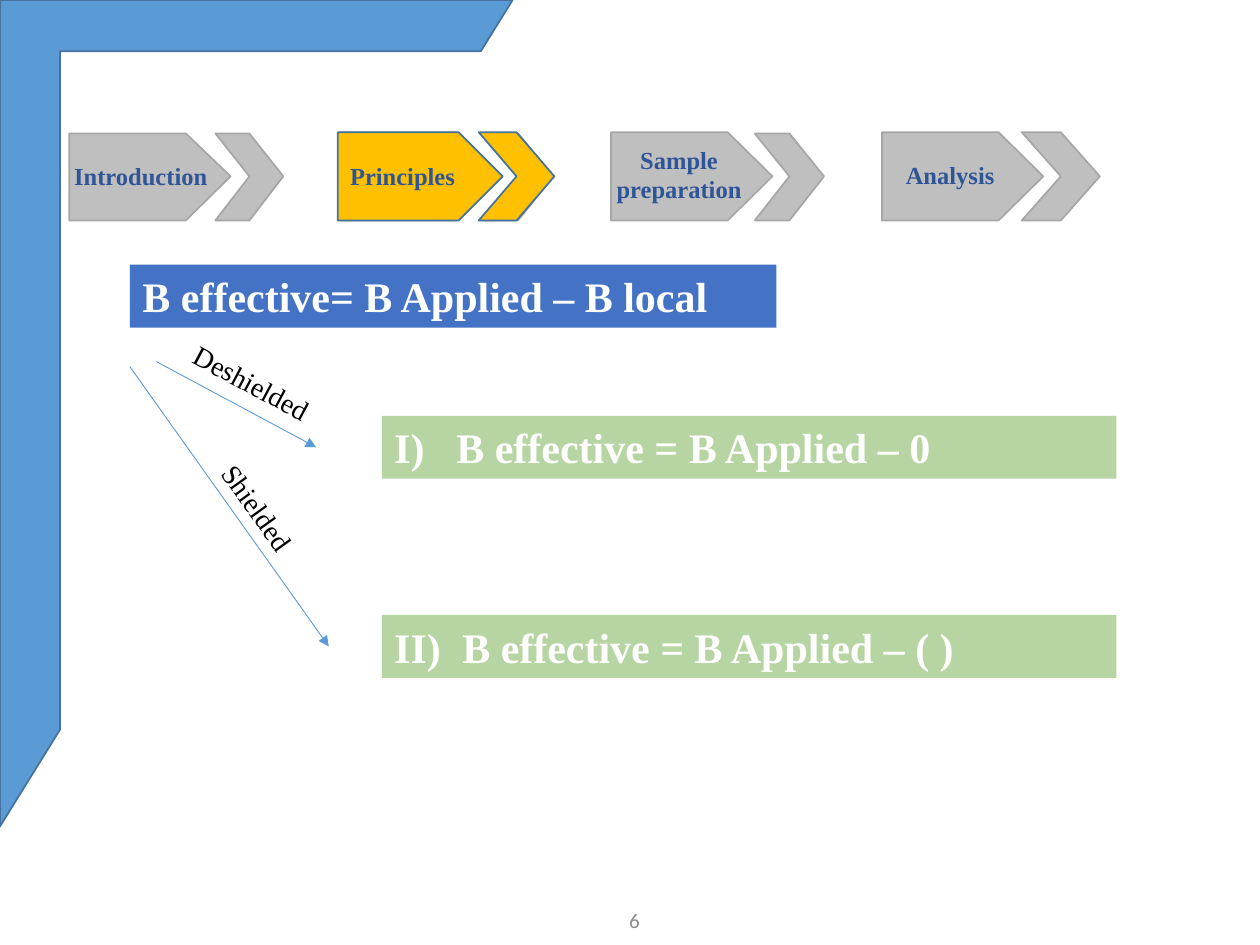
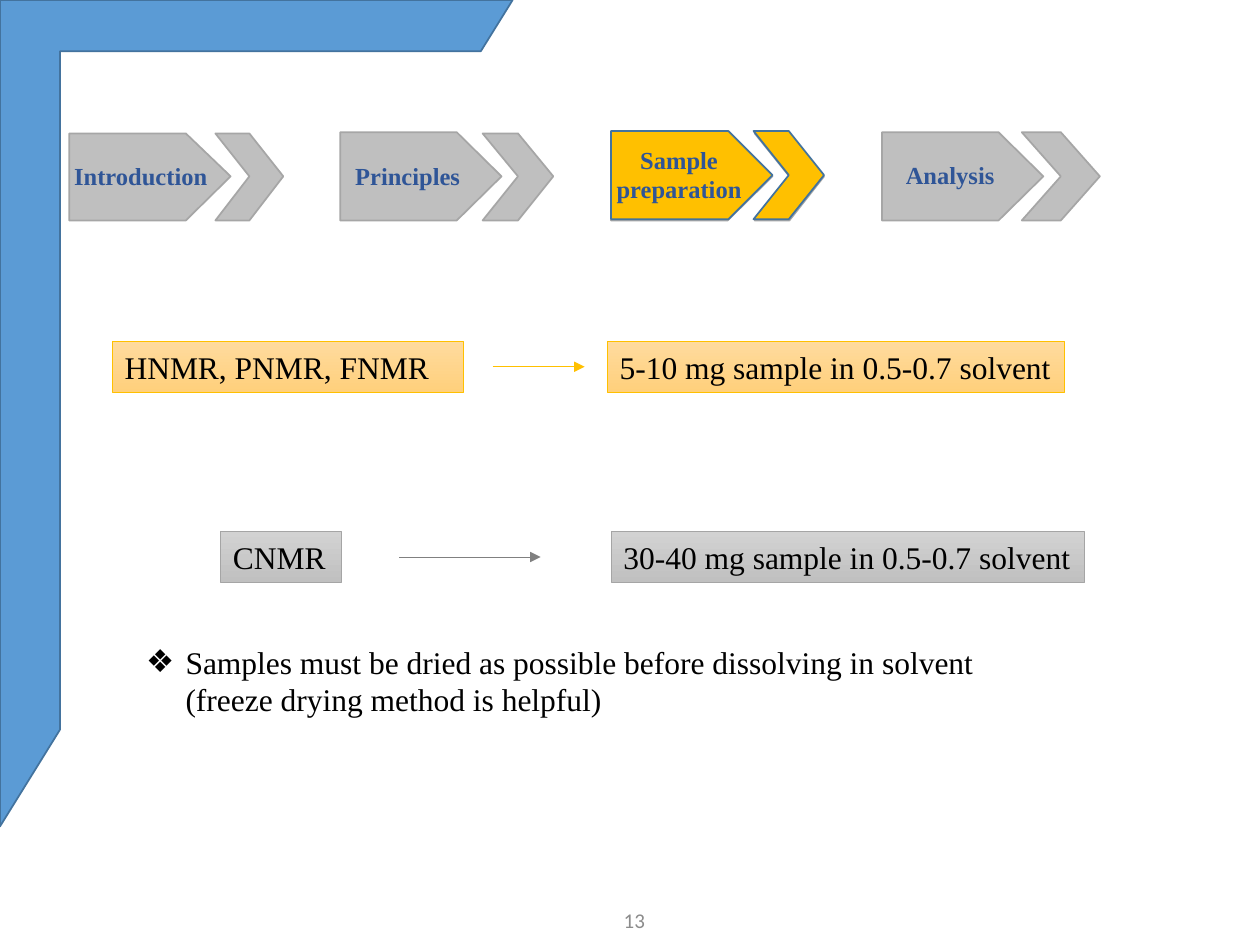
from dataclasses import dataclass

from lxml.etree import SubElement
from pptx import Presentation
from pptx.dml.color import RGBColor
from pptx.enum.shapes import MSO_CONNECTOR, MSO_SHAPE
from pptx.enum.text import MSO_ANCHOR, MSO_AUTO_SIZE, PP_ALIGN
from pptx.oxml.ns import qn
from pptx.util import Pt


@dataclass(frozen=True)
class Theme:
    font: str = "Times New Roman"
    number_font: str = "Calibri"
    blue: str = "5B9BD5"
    outline: str = "43739E"
    banner: str = "4472C4"
    green: str = "70AD47"
    gold: str = "FFC000"
    step: str = "BFBFBF"
    step_line: str = "A6A6A6"
    label: str = "2F5597"
    arrow_gray: str = "808080"
    box_gray: str = "A5A5A5"
    number: str = "8C8C8C"
    white: str = "FFFFFF"
    black: str = "000000"
    gold_fade: tuple = ("FFDB9E", "FFD07C")
    gray_fade: tuple = ("D2D2D2", "C0C0C0")
    formula_size: int = 24
    body_size: int = 18
    note_size: int = 16
    label_size: int = 14
    number_size: int = 12


theme = Theme()


def write(shape, text, size, color, bold=False, align=PP_ALIGN.LEFT,
          font=theme.font, anchor=MSO_ANCHOR.TOP, hanging=0):
    """Put one formatted paragraph in a shape and return the paragraph."""
    frame = shape.text_frame
    frame.text = text
    frame.word_wrap = True
    frame.auto_size = MSO_AUTO_SIZE.NONE
    frame.vertical_anchor = anchor
    para = frame.paragraphs[0]
    para.alignment = align
    para.space_before = Pt(0)
    if hanging:
        properties = para._p.get_or_add_pPr()
        properties.set("marL", str(Pt(hanging)))
        properties.set("indent", str(-Pt(hanging)))
    for span in para.runs:
        span.font.name = font
        span.font.size = Pt(size)
        span.font.bold = bold
        span.font.color.rgb = RGBColor.from_string(color)
    return para


def add_arrow(page, start, end, color):
    arrow = page.shapes.add_connector(
        MSO_CONNECTOR.STRAIGHT, *map(Pt, start), *map(Pt, end))
    arrow.line.color.rgb = RGBColor.from_string(color)
    arrow.line.width = Pt(0.5)
    SubElement(arrow.line._get_or_add_ln(), qn("a:tailEnd"), type="triangle")
    SubElement(arrow._element.spPr, qn("a:effectLst"))


deck = Presentation()
deck.slide_width, deck.slide_height = Pt(720), Pt(540)
shielding = deck.slides.add_slide(deck.slide_layouts[5])
sampling = deck.slides.add_slide(deck.slide_layouts[1])

# Shared frame, step bar and page number
plate_left, step_pitch = 39.6, 154.8
plate_shoulder, plate_width = 66.6, 92.2
bar_bottom, bar_middle = 126, 100.8
# Plate top, chevron top, chevron left, half of the chevron width
steps = [
    (76.3, 76.3, 123.1, 19.4),
    (75.6, 76.3, 275.8, 20.2),
    (75.6, 76.3, 431.3, 19.8),
    (75.6, 75.6, 583.9, 22.3),
]
outlines = []
for index, (plate_top, chevron_top, left, half) in enumerate(steps):
    start = plate_left + index * step_pitch
    shoulder = start + plate_shoulder
    outlines.append([(start, plate_top), (shoulder, plate_top),
                     (start + plate_width, bar_middle),
                     (shoulder, bar_bottom), (start, bar_bottom)])
    middle = left + half
    outlines.append([(left, chevron_top), (middle, chevron_top),
                     (middle + half, bar_middle), (middle, bar_bottom),
                     (left, bar_bottom), (middle, bar_middle)])

# Page, number, top of the current step, its plate and chevron, left of "Principles"
pages = [
    (shielding, "6", 75.6, (193, 94.3), (273.6, 43.2), 190.1),
    (sampling, "13", 74.9, (349.2, 92.2), (430.6, 40.3), 193),
]
for page, number, top, plate, chevron, principles_left in pages:
    frame = page.shapes.add_shape(
        MSO_SHAPE.HALF_FRAME, Pt(0), Pt(0), Pt(293), Pt(472.3))
    frame.adjustments[0], frame.adjustments[1] = 0.1, 0.117

    builder = page.shapes.build_freeform(*map(Pt, outlines[0][0]))
    for index, outline in enumerate(outlines):
        points = [(Pt(x), Pt(y)) for x, y in outline]
        if index:
            builder.move_to(*points[0])
        builder.add_line_segments(points[1:], close=True)
    step_bar = builder.convert_to_shape()

    current = [
        page.shapes.add_shape(kind, Pt(left), Pt(top), Pt(width), Pt(50.4))
        for kind, (left, width) in ((MSO_SHAPE.PENTAGON, plate),
                                    (MSO_SHAPE.CHEVRON, chevron))]
    paints = [(frame, theme.blue, theme.outline),
              (step_bar, theme.step, theme.step_line)]
    paints += [(part, theme.gold, theme.outline) for part in current]
    for shape, fill, line in paints:
        shape.shadow.inherit = False
        shape.fill.solid()
        shape.fill.fore_color.rgb = RGBColor.from_string(fill)
        shape.line.color.rgb = RGBColor.from_string(line)
        shape.line.width = Pt(1)

    labels = [
        ("Introduction", 35.3, 88.6, 91, 24.5, PP_ALIGN.LEFT),
        ("Principles", principles_left, 88.6, 80, 24.5, PP_ALIGN.CENTER),
        ("Sample preparation", 344.9, 79.2, 86.4, 41, PP_ALIGN.CENTER),
        ("Analysis", 510.5, 87.8, 82.8, 24.5, PP_ALIGN.LEFT),
    ]
    for text, left, label_top, width, height, align in labels:
        box = page.shapes.add_textbox(
            Pt(left), Pt(label_top), Pt(width), Pt(height))
        write(box, text, theme.label_size, theme.label, True, align)

    box = page.shapes.add_textbox(Pt(281.5), Pt(511.2), Pt(162), Pt(28.8))
    write(box, number, theme.number_size, theme.number, align=PP_ALIGN.CENTER,
          font=theme.number_font, anchor=MSO_ANCHOR.MIDDLE)

# Shielding: the formula and its two cases
banner = shielding.shapes.title
banner.left, banner.top, banner.width, banner.height = map(
    Pt, (74.2, 151.2, 369.4, 36))
banner.fill.solid()
banner.fill.fore_color.rgb = RGBColor.from_string(theme.banner)
write(banner, "B effective= B Applied – B local",
      theme.formula_size, theme.white, True)

cases = [
    ("I)\tB effective = B Applied – 0", 237.6, 35.5),
    ("II)\tB effective = B Applied – ( )", 351.4, 38.9),
]
for text, top, hanging in cases:
    box = shielding.shapes.add_shape(
        MSO_SHAPE.RECTANGLE, Pt(218.2), Pt(top), Pt(419.8), Pt(36))
    box.shadow.inherit = False
    box.line.fill.background()
    box.fill.solid()
    box.fill.fore_color.rgb = RGBColor.from_string(theme.green)
    color = box._element.spPr.find(qn("a:solidFill")).find(qn("a:srgbClr"))
    SubElement(color, qn("a:alpha"), val="50000")
    write(box, text, theme.formula_size, theme.white, True, hanging=hanging)

branches = [
    ("Deshielded", (100.1, 207.4, 95, 26.6), 28, (89.3, 206.6), (180.7, 255.6)),
    ("Shielded", (105.8, 288.7, 99.4, 26.6), 54.4, (74.2, 209.5), (187.9, 369.4)),
]
for text, place, angle, start, end in branches:
    add_arrow(shielding, start, end, theme.blue)
    box = shielding.shapes.add_textbox(*map(Pt, place))
    box.rotation = angle
    write(box, text, theme.note_size, theme.black)

# Sampling: amount of sample for each kind of measurement
sampling.shapes.title._element.getparent().remove(sampling.shapes.title._element)
amounts = [
    (195.1, theme.gold_fade, theme.gold, theme.gold, (281.5, 334.1),
     [("HNMR, PNMR, FNMR", 64.1, 200.9),
      ("5-10 mg sample in 0.5-0.7 solvent", 347, 261.4)]),
    (303.8, theme.gray_fade, theme.box_gray, theme.arrow_gray, (228.2, 308.9),
     [("CNMR", 126, 69.1),
      ("30-40 mg sample in 0.5-0.7 solvent", 349.2, 270.7)]),
]
for top, fade, line, arrow_color, (start, end), boxes in amounts:
    for text, left, width in boxes:
        box = sampling.shapes.add_shape(
            MSO_SHAPE.RECTANGLE, Pt(left), Pt(top), Pt(width), Pt(29))
        box.shadow.inherit = False
        box.fill.gradient()
        box.fill.gradient_angle = 270
        for stop, color in zip(box.fill.gradient_stops, fade):
            stop.color.rgb = RGBColor.from_string(color)
        box.line.color.rgb = RGBColor.from_string(line)
        box.line.width = Pt(0.5)
        write(box, text, theme.body_size, theme.black)
    add_arrow(sampling, (start, top + 14.5), (end, top + 14.5), arrow_color)

advice = sampling.placeholders[1]
advice.left, advice.top, advice.width, advice.height = map(
    Pt, (76.3, 363.6, 495.4, 51.1))
para = write(
    advice,
    "Samples must be dried as possible before dissolving in solvent "
    "(freeze drying method is helpful)",
    theme.body_size, theme.black, hanging=22.5)
SubElement(para._p.get_or_add_pPr(), qn("a:buChar"), char="❖")

deck.save("out.pptx")
